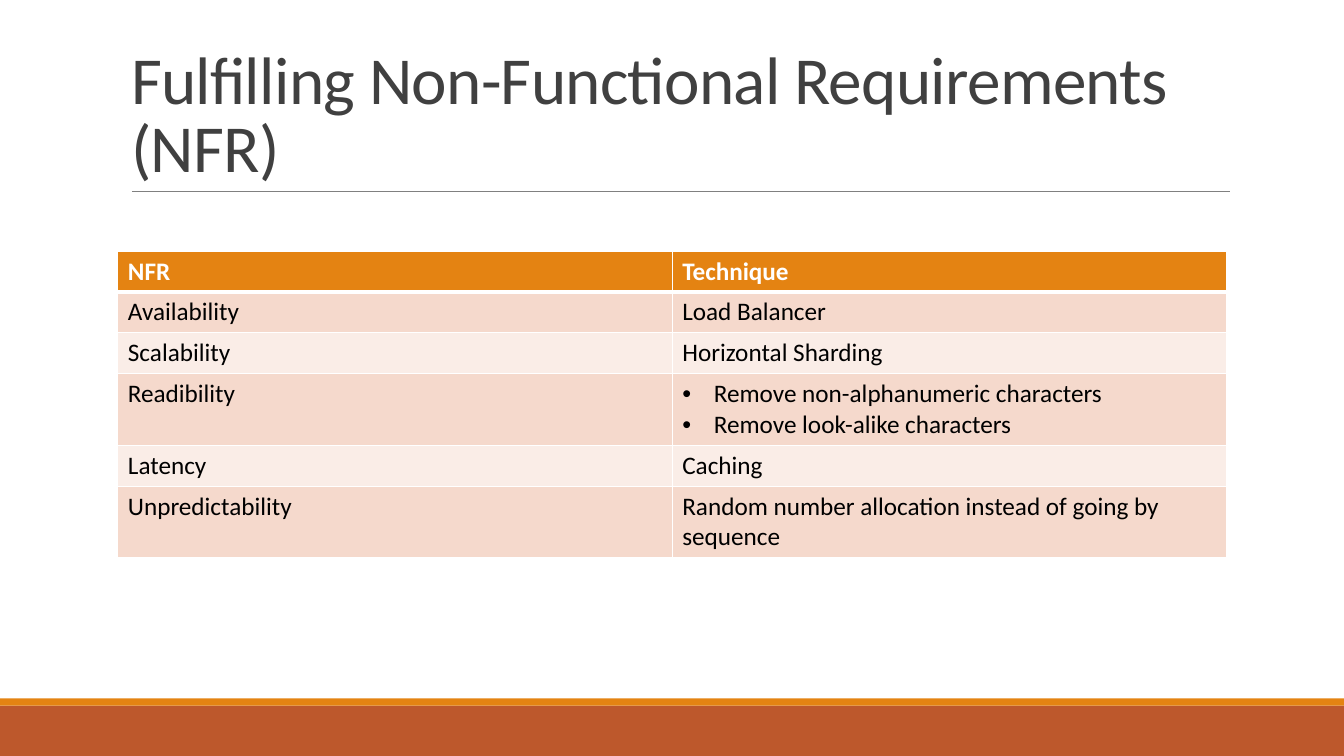
"""Builds a slide that matches non-functional requirements with techniques."""
from lxml import etree
from pptx import Presentation
from pptx.dml.color import RGBColor
from pptx.enum.shapes import MSO_CONNECTOR, MSO_SHAPE
from pptx.enum.text import MSO_ANCHOR, MSO_AUTO_SIZE, PP_ALIGN
from pptx.oxml.ns import qn
from pptx.util import Pt

RECTANGLE = MSO_SHAPE.RECTANGLE
STRAIGHT = MSO_CONNECTOR.STRAIGHT
BOTTOM = MSO_ANCHOR.BOTTOM
LEFT = PP_ALIGN.LEFT
NO_AUTOFIT = MSO_AUTO_SIZE.NONE

WHITE = RGBColor(0xFF, 0xFF, 0xFF)
BLACK = RGBColor(0x00, 0x00, 0x00)
CHARCOAL = RGBColor(0x40, 0x40, 0x40)
GRAY = RGBColor(0x80, 0x80, 0x80)
ORANGE = RGBColor(0xE4, 0x83, 0x12)
RUST = RGBColor(0xBD, 0x58, 0x2C)
PEACH = RGBColor(0xF5, 0xD9, 0xCC)
PALE_PEACH = RGBColor(0xFA, 0xED, 0xE7)

FONT = "Calibri"
TITLE_ONLY = 5
PAGE_WIDTH, PAGE_HEIGHT = 960, 540
ROW_HEIGHT, TALL_ROW_HEIGHT = 29.2, 50.4
COLUMN_WIDTH = 396
BULLET_INDENT = 22.5

TITLE = "Fulfilling Non-Functional Requirements (NFR)"
ROWS = [
    ("NFR", ["Technique"], ROW_HEIGHT),
    ("Availability", ["Load Balancer"], ROW_HEIGHT),
    ("Scalability", ["Horizontal Sharding"], ROW_HEIGHT),
    ("Readibility", ["Remove non-alphanumeric characters",
                     "Remove look-alike characters"], TALL_ROW_HEIGHT),
    ("Latency", ["Caching"], ROW_HEIGHT),
    ("Unpredictability",
     ["Random number allocation instead of going by sequence"], TALL_ROW_HEIGHT),
]


def add_band(page, top, height, color):
    """Add a full-width footer band."""
    band = page.shapes.add_shape(RECTANGLE, 0, Pt(top), Pt(PAGE_WIDTH), Pt(height))
    band.shadow.inherit = False
    band.fill.solid()
    band.fill.fore_color.rgb = color
    band.line.fill.background()


def add_rule(page, left, right, top):
    """Add the thin line under the title."""
    rule = page.shapes.add_connector(STRAIGHT, Pt(left), Pt(top), Pt(right), Pt(top))
    rule.line.color.rgb = GRAY
    rule.line.width = Pt(0.5)
    etree.SubElement(rule._element.spPr, qn("a:effectLst"))


def format_runs(para, size, color, bold=False):
    """Set the font of every run in a paragraph."""
    for span in para.runs:
        span.font.name = FONT
        span.font.size = Pt(size)
        span.font.bold = bold
        span.font.color.rgb = color


def fill_title(page):
    """Place and format the title placeholder."""
    title = page.shapes.title
    title.left, title.top = Pt(86.4), Pt(22.6)
    title.width, title.height = Pt(792), Pt(114.2)
    frame = title.text_frame
    frame.text = TITLE
    frame.word_wrap = True
    frame.auto_size = NO_AUTOFIT
    frame.vertical_anchor = BOTTOM
    para = frame.paragraphs[0]
    para.alignment = LEFT
    para.line_spacing = 0.85
    format_runs(para, 48, CHARCOAL)
    para.runs[0].font._element.set("spc", "-50")


def add_bullet(para):
    """Give a paragraph a hanging round bullet."""
    properties = para._p.get_or_add_pPr()
    properties.set("marL", str(Pt(BULLET_INDENT)))
    properties.set("indent", str(-Pt(BULLET_INDENT)))
    etree.SubElement(properties, qn("a:buFont"), typeface="Arial")
    etree.SubElement(properties, qn("a:buChar"), char="•")


def set_borders(cell, top, bottom):
    """Draw white borders, with the given top and bottom widths."""
    properties = cell._tc.get_or_add_tcPr()
    widths = {"a:lnL": 1, "a:lnR": 1, "a:lnT": top, "a:lnB": bottom}
    for position, (tag, width) in enumerate(widths.items()):
        line = etree.Element(qn(tag), w=str(Pt(width)))
        fill = etree.SubElement(line, qn("a:solidFill"))
        etree.SubElement(fill, qn("a:srgbClr"), val=str(WHITE))
        properties.insert(position, line)


def fill_cell(cell, lines, row):
    """Write and format one table cell."""
    header = row == 0
    cell.text_frame.text = "\n".join(lines)
    for para in cell.text_frame.paragraphs:
        format_runs(para, 18, WHITE if header else BLACK, header)
        if len(lines) > 1:
            add_bullet(para)
    cell.fill.solid()
    cell.fill.fore_color.rgb = ORANGE if header else (PALE_PEACH, PEACH)[row % 2]
    set_borders(cell, 3 if row == 1 else 1, 3 if header else 1)


def add_requirements_table(page):
    """Add the table of requirements and techniques."""
    height = sum(row_height for _, _, row_height in ROWS)
    table = page.shapes.add_table(len(ROWS), 2, Pt(84.2), Pt(179.3),
                                  Pt(2 * COLUMN_WIDTH), Pt(height)).table
    for column in table.columns:
        column.width = Pt(COLUMN_WIDTH)
    for row, (requirement, techniques, row_height) in enumerate(ROWS):
        table.rows[row].height = Pt(row_height)
        fill_cell(table.cell(row, 0), [requirement], row)
        fill_cell(table.cell(row, 1), techniques, row)


def main():
    """Build and save the deck."""
    deck = Presentation()
    deck.slide_width, deck.slide_height = Pt(PAGE_WIDTH), Pt(PAGE_HEIGHT)
    page = deck.slides.add_slide(deck.slide_layouts[TITLE_ONLY])
    add_band(page, 504, 36, RUST)
    add_band(page, 498.8, 5.2, ORANGE)
    add_rule(page, 94.3, 878.8, 136.8)
    fill_title(page)
    add_requirements_table(page)
    deck.save("out.pptx")


if __name__ == "__main__":
    main()
